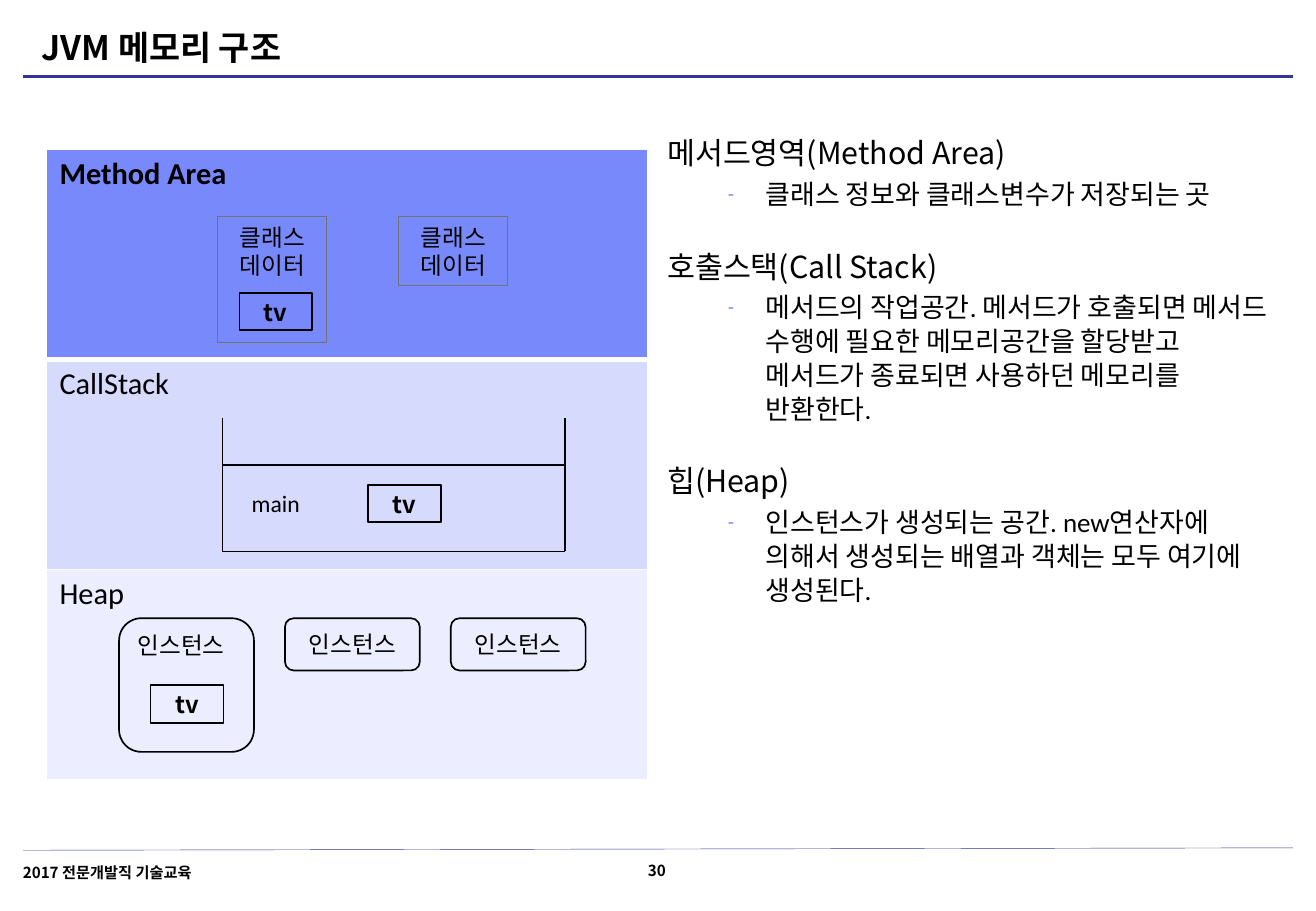
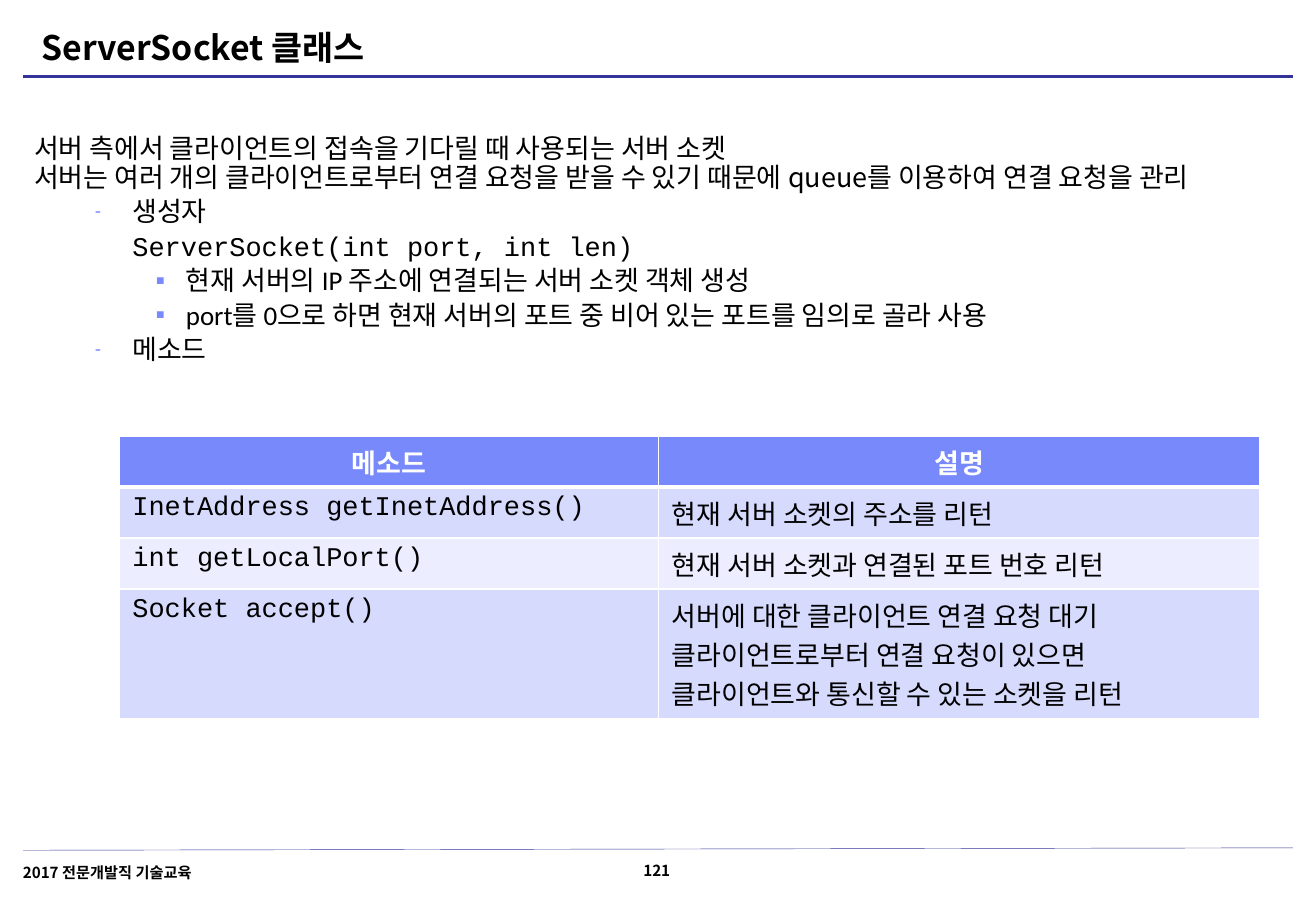
from dataclasses import dataclass
from typing import Optional

from lxml.etree import SubElement
from pptx import Presentation
from pptx.dml.color import RGBColor
from pptx.enum.shapes import MSO_CONNECTOR, MSO_SHAPE
from pptx.enum.text import MSO_ANCHOR as ANCHOR, MSO_AUTO_SIZE, PP_ALIGN as ALIGN
from pptx.oxml.ns import qn
from pptx.util import Inches, Pt

BLACK = RGBColor(0x00, 0x00, 0x00)
WHITE = RGBColor(0xFF, 0xFF, 0xFF)
NAVY = RGBColor(0x33, 0x33, 0x99)
GRAY = RGBColor(0x72, 0x72, 0x72)
BLUE = RGBColor(0x78, 0x89, 0xFB)
LIGHT = RGBColor(0xD6, 0xDA, 0xFD)
PALE = RGBColor(0xEC, 0xED, 0xFE)

KOREAN = "Noto Sans CJK KR"
LATIN = "Calibri"
CODE = "Courier New"


@dataclass(frozen=True)
class Style:
    size: float
    font: str = LATIN
    bold: bool = False
    color: RGBColor = BLACK


@dataclass(frozen=True)
class Level:
    depth: int
    margin: float
    indent: float
    before: float = 0
    bullet: str = ""
    bullet_size: int = 100


@dataclass(frozen=True)
class Item:
    text: str
    level: Level
    style: Style
    line: float
    before: Optional[float] = None


@dataclass(frozen=True)
class Box:
    text: str
    left: float
    top: float
    width: float
    height: float
    style: Style
    shape: MSO_SHAPE = MSO_SHAPE.RECTANGLE
    anchor: ANCHOR = ANCHOR.MIDDLE
    align: ALIGN = ALIGN.CENTER
    line: RGBColor = BLACK
    weight: float = 1


@dataclass(frozen=True)
class Cell:
    text: str
    style: Style
    align: ALIGN = ALIGN.LEFT


TITLE = Style(20, KOREAN, True)
FOOTER = Style(9, KOREAN, True)
LABEL = Style(14)
VARIABLE = Style(14, KOREAN, True)
HEADING = Style(18, KOREAN)
KOREAN_16 = Style(16, KOREAN)
CODE_16 = Style(16, CODE)
TEXT_16 = Style(16)

TOP = Level(0, 0.38, -0.38)
DASH = Level(1, 0.81, -0.31, 3.2, "-", 70)
PLAIN = Level(1, 0.81, 0, 3.2)
SQUARE = Level(2, 1.25, -0.25, 3.2, "▪")


def add_run(p, text: str, style: Style) -> None:
    r = p.add_run()
    r.text = text
    r.font.size = Pt(style.size)
    r.font.bold = style.bold
    r.font.color.rgb = style.color
    r.font.name = style.font
    SubElement(r.font._element, qn("a:ea"), typeface=KOREAN)


def set_margins(tf, x: float, y: float) -> None:
    tf.margin_left = tf.margin_right = Inches(x)
    tf.margin_top = tf.margin_bottom = Inches(y)


def place(sp, left: float, top: float, width: float, height: float) -> None:
    sp.left, sp.top = Inches(left), Inches(top)
    sp.width, sp.height = Inches(width), Inches(height)


def add_line(slide, x1: float, y1: float, x2: float, y2: float,
             color: RGBColor = BLACK, weight: float = 1) -> None:
    line = slide.shapes.add_connector(
        MSO_CONNECTOR.STRAIGHT, Inches(x1), Inches(y1), Inches(x2), Inches(y2))
    line.line.color.rgb = color
    line.line.width = Pt(weight)
    SubElement(line._element.spPr, qn("a:effectLst"))


def add_label(slide, text: str, left: float, top: float, width: float, height: float,
              style: Style, anchor: ANCHOR = ANCHOR.TOP, align: ALIGN = ALIGN.LEFT,
              spacing: float = 1.0, wrap: bool = True) -> None:
    sp = slide.shapes.add_textbox(
        Inches(left), Inches(top), Inches(width), Inches(height))
    tf = sp.text_frame
    tf.word_wrap = wrap
    tf.vertical_anchor = anchor
    p = tf.paragraphs[0]
    p.alignment = align
    p.line_spacing = spacing
    add_run(p, text, style)


def add_box(slide, box: Box) -> None:
    sp = slide.shapes.add_shape(box.shape, Inches(box.left), Inches(box.top),
                                Inches(box.width), Inches(box.height))
    sp.shadow.inherit = False
    sp.fill.background()
    sp.line.color.rgb = box.line
    sp.line.width = Pt(box.weight)
    tf = sp.text_frame
    tf.word_wrap = True
    tf.vertical_anchor = box.anchor
    for i, text in enumerate(box.text.split("\n")):
        p = tf.add_paragraph() if i else tf.paragraphs[0]
        p.alignment = box.align
        p.line_spacing = Pt(17)
        add_run(p, text, box.style)


def set_bullet(p, level: Level) -> None:
    pPr = p._p.get_or_add_pPr()
    pPr.set("marL", str(Inches(level.margin)))
    pPr.set("indent", str(Inches(level.indent)))
    if not level.bullet:
        SubElement(pPr, qn("a:buNone"))
        return
    color = SubElement(pPr, qn("a:buClr"))
    SubElement(color, qn("a:srgbClr"), val=str(BLUE))
    SubElement(pPr, qn("a:buSzPct"), val=str(level.bullet_size * 1000))
    SubElement(pPr, qn("a:buChar"), char=level.bullet)


def fill_body(slide, area: tuple[float, float, float, float], items: list[Item]) -> None:
    body = slide.placeholders[1]
    place(body, *area)
    tf = body.text_frame
    tf.auto_size = MSO_AUTO_SIZE.NONE
    set_margins(tf, 0.07, 0.03)
    for i, item in enumerate(items):
        p = tf.add_paragraph() if i else tf.paragraphs[0]
        p.level = item.level.depth
        set_bullet(p, item.level)
        p.line_spacing = Pt(item.line)
        p.space_before = Pt(item.level.before if item.before is None else item.before)
        add_run(p, item.text, item.style)


def set_bottom_border(cell, color: RGBColor, weight: float) -> None:
    """Call before filling the cell, since borders precede the fill in the XML."""
    border = SubElement(cell._tc.get_or_add_tcPr(), qn("a:lnB"), w=str(Pt(weight)))
    fill = SubElement(border, qn("a:solidFill"))
    SubElement(fill, qn("a:srgbClr"), val=str(color))


def add_grid(slide, left: float, top: float, widths: list[float],
             heights: list[float], rows: list[list[Cell]]) -> None:
    """Draw a table whose first row is blue and whose other rows alternate."""
    table = slide.shapes.add_table(
        len(rows), len(widths), Inches(left), Inches(top),
        Inches(sum(widths)), Inches(sum(heights))).table
    for column, width in zip(table.columns, widths):
        column.width = Inches(width)
    for i, (row, height) in enumerate(zip(rows, heights)):
        table.rows[i].height = Inches(height)
        for j, content in enumerate(row):
            cell = table.cell(i, j)
            if i == 0:
                set_bottom_border(cell, WHITE, 3)
            cell.fill.solid()
            cell.fill.fore_color.rgb = BLUE if i == 0 else LIGHT if i % 2 else PALE
            set_margins(cell, 0.11, 0.05)
            if content.align == ALIGN.LEFT:
                cell.margin_right = Inches(0.25)
            for k, text in enumerate(content.text.split("\n")):
                tf = cell.text_frame
                p = tf.add_paragraph() if k else tf.paragraphs[0]
                p.alignment = content.align
                add_run(p, text, content.style)


def new_slide(prs, title: str, page: int):
    """Add a slide with the shared title, rules, footer and page number."""
    slide = prs.slides.add_slide(prs.slide_layouts[1])
    add_line(slide, 0.19, 7, 10.64, 6.98, NAVY, 0.25)
    add_line(slide, 0.19, 0.63, 10.64, 0.63, NAVY, 2)
    add_label(slide, "2017 전문개발직 기술교육", 0.09, 7.04, 2.96, 0.27, FOOTER, spacing=1.1)
    add_label(slide, str(page), 4.99, 7.05, 0.83, 0.24, FOOTER,
              ANCHOR.BOTTOM, ALIGN.CENTER)
    sp = slide.shapes.title
    place(sp, 0.24, 0.17, 8.59, 0.44)
    tf = sp.text_frame
    tf.auto_size = MSO_AUTO_SIZE.NONE
    tf.vertical_anchor = ANCHOR.MIDDLE
    set_margins(tf, 0.1, 0.05)
    p = tf.paragraphs[0]
    p.alignment = ALIGN.LEFT
    add_run(p, title, TITLE)
    return slide


def build_memory_slide(prs) -> None:
    slide = new_slide(prs, "JVM 메모리 구조", 30)
    sections = [
        ("메서드영역(Method Area)", "클래스 정보와 클래스변수가 저장되는 곳"),
        ("호출스택(Call Stack)",
         "메서드의 작업공간. 메서드가 호출되면 메서드 수행에 필요한 메모리공간을 "
         "할당받고 메서드가 종료되면 사용하던 메모리를 반환한다."),
        ("힙(Heap)",
         "인스턴스가 생성되는 공간. new연산자에 의해서 생성되는 배열과 객체는 "
         "모두 여기에 생성된다."),
    ]
    items = []
    for i, (heading, detail) in enumerate(sections):
        items.append(Item(heading, TOP, HEADING, 22, 22 if i else 0))
        items.append(Item(detail, DASH, TEXT_16, 20))
    fill_body(slide, (5.42, 1.07, 5.21, 4.37), items)

    areas = ["Method Area", "CallStack", "Heap"]
    add_grid(slide, 0.38, 1.23, [4.95], [1.73] * 3,
             [[Cell(name, Style(18, bold=i == 0))] for i, name in enumerate(areas)])

    for i in range(3):
        holds_tv = i == 0
        add_box(slide, Box(
            "인스턴스", 0.98 + 1.365 * i, 5.09, 1.11, 1.1 if holds_tv else 0.43, LABEL,
            MSO_SHAPE.ROUNDED_RECTANGLE,
            ANCHOR.TOP if holds_tv else ANCHOR.MIDDLE,
            ALIGN.LEFT if holds_tv else ALIGN.CENTER))
    for left, height in [(1.79, 1.04), (3.28, 0.57)]:
        add_box(slide, Box("클래스\n데이터", left, 1.78, 0.9, height, LABEL,
                           anchor=ANCHOR.TOP, line=GRAY, weight=0.75))

    stack_left, stack_right, stack_top, stack_bottom = 1.83, 4.65, 3.44, 4.54
    for x in (stack_left, stack_right):
        add_line(slide, x, stack_top, x, stack_bottom)
    for y in (3.83, stack_bottom):
        add_line(slide, stack_left, y, stack_right, y)
    add_label(slide, "main", 1.96, 3.97, 0.62, 0.34, LABEL,
              ANCHOR.MIDDLE, ALIGN.CENTER, wrap=False)
    for left, top in [(1.24, 5.64), (3.03, 3.99), (1.97, 2.41)]:
        add_box(slide, Box("tv", left, top, 0.6, 0.31, VARIABLE))


def build_socket_slide(prs) -> None:
    slide = new_slide(prs, "ServerSocket 클래스", 121)
    lines = [
        ("서버 측에서 클라이언트의 접속을 기다릴 때 사용되는 서버 소켓", TOP, KOREAN_16),
        ("서버는 여러 개의 클라이언트로부터 연결 요청을 받을 수 있기 때문에 "
         "queue를 이용하여 연결 요청을 관리", TOP, KOREAN_16),
        ("생성자", DASH, TEXT_16),
        ("ServerSocket(int port, int len)", PLAIN, CODE_16),
        ("현재 서버의 IP 주소에 연결되는 서버 소켓 객체 생성", SQUARE, TEXT_16),
        ("port를 0으로 하면 현재 서버의 포트 중 비어 있는 포트를 임의로 골라 사용",
         SQUARE, TEXT_16),
        ("메소드", DASH, TEXT_16),
    ]
    fill_body(slide, (0.21, 1.08, 10.24, 2.26),
              [Item(text, level, style, 17.2) for text, level, style in lines])

    header = Style(16, bold=True, color=WHITE)
    methods = [
        ("InetAddress getInetAddress()", "현재 서버 소켓의 주소를 리턴"),
        ("int getLocalPort()", "현재 서버 소켓과 연결된 포트 번호 리턴"),
        ("Socket accept()",
         "서버에 대한 클라이언트 연결 요청 대기\n"
         "클라이언트로부터 연결 요청이 있으면 클라이언트와 통신할 수 있는 소켓을 리턴"),
    ]
    rows = [[Cell(name, header, ALIGN.CENTER) for name in ("메소드", "설명")]]
    rows += [[Cell(method, CODE_16), Cell(detail, KOREAN_16)]
             for method, detail in methods]
    add_grid(slide, 0.98, 3.59, [4.44, 4.95], [0.42] * 3 + [1.07], rows)


def main() -> None:
    prs = Presentation()
    prs.slide_width, prs.slide_height = Inches(10.83), Inches(7.5)
    build_memory_slide(prs)
    build_socket_slide(prs)
    prs.save("out.pptx")


if __name__ == "__main__":
    main()
